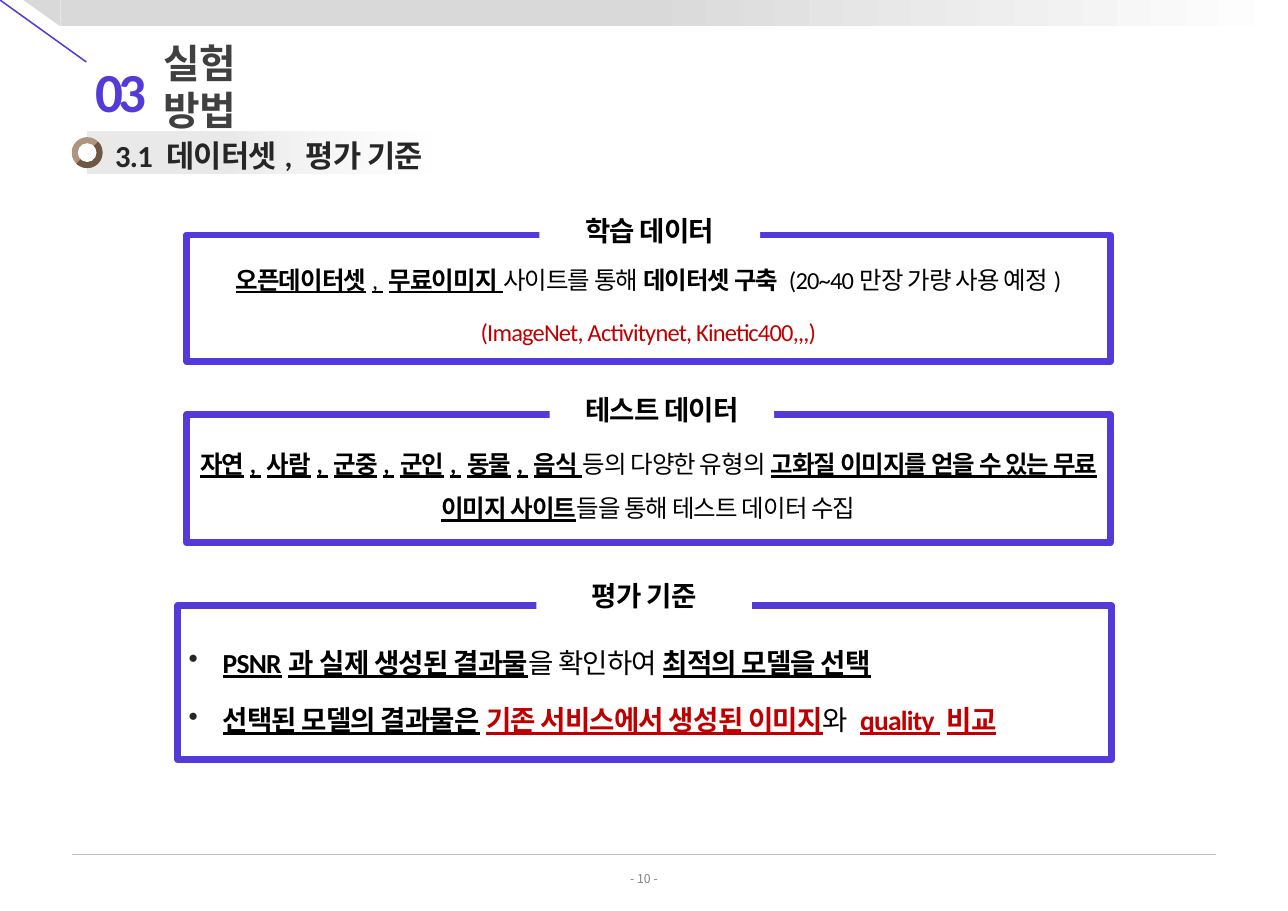
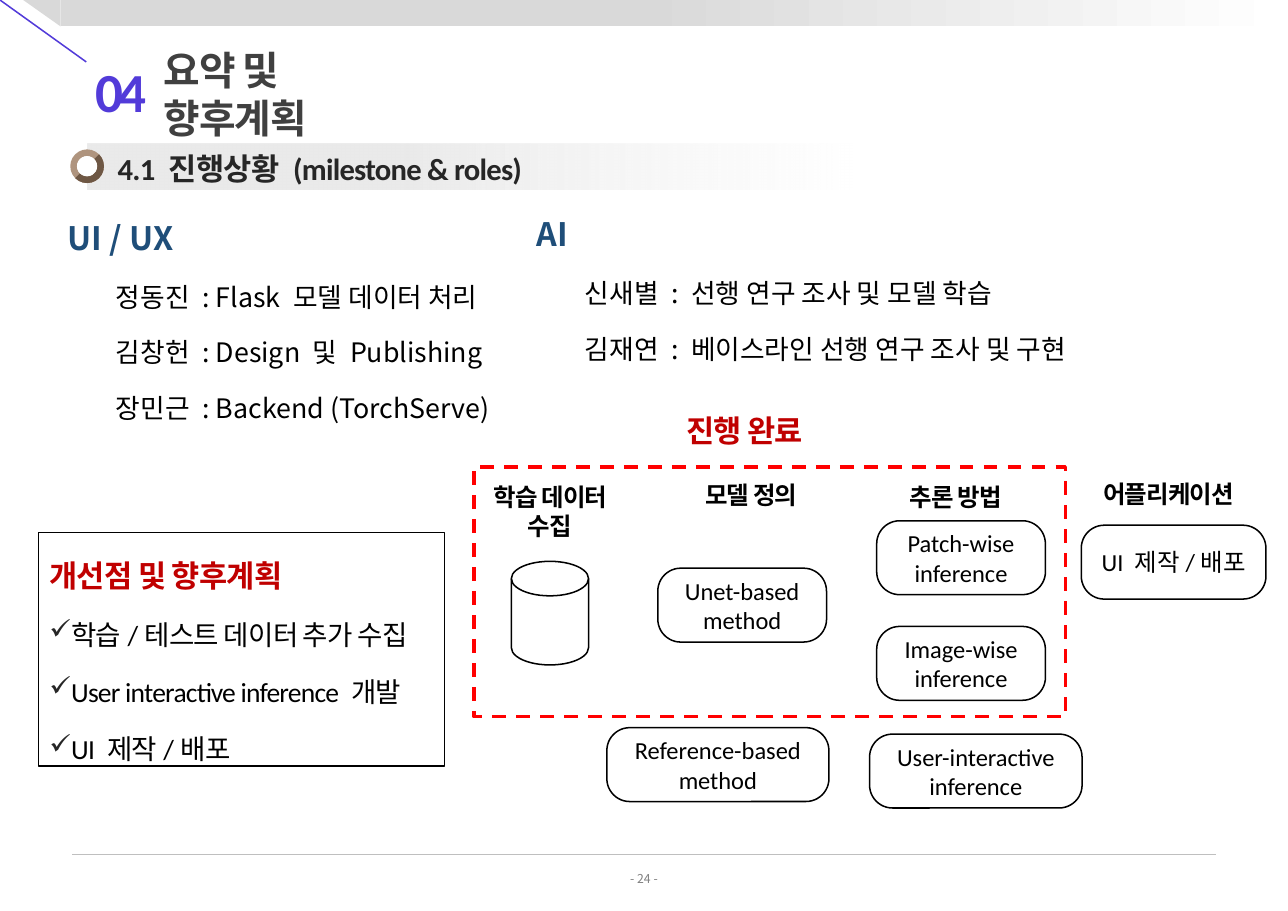
import pptx
import pptx.util
import pptx.oxml
import pptx.dml.color
import pptx.enum.dml
import pptx.enum.shapes
import pptx.enum.text
from lxml import etree

Pt, Inches = pptx.util.Pt, pptx.util.Inches
KIND = pptx.enum.shapes.MSO_SHAPE
ALIGN = pptx.enum.text.PP_ALIGN
ANCHOR = pptx.enum.text.MSO_ANCHOR
NS = "http://schemas.openxmlformats.org/drawingml/2006/main"

HUES = {
    "ink": "000000", "paper": "FFFFFF", "violet": "523BD9", "red": "C00000",
    "alert": "FF0000", "navy": "1F4E79", "title": "404040", "dark": "262626",
    "grey": "808080", "rule": "BFBFBF", "bar": "D9D9D9", "band": "EAEAEA",
    "fade": "F2F2F2", "tan": "AF947E", "brown": "6E5744",
}
PAGE = (0, 0, 11.69, 8.27)
LATIN, HANGUL = "Calibri", "Noto Sans CJK KR"


# ---- helpers ----
def hue(name):
    return pptx.dml.color.RGBColor.from_string(HUES[name])


def sub(box, left, top, wide, high):
    """Box inside a box, given in percent of the outer one."""
    x, y, w, h = box
    return (x + w * left / 100, y + h * top / 100, w * wide / 100, h * high / 100)


def emu(box):
    return [Inches(v) for v in box]


def node(up, tag, **attrs):
    return etree.SubElement(up, f"{{{NS}}}{tag}", attrs)


def shape(slide, kind, box, fill=None, line=None, width=1):
    item = slide.shapes.add_shape(kind, *emu(box))
    item.shadow.inherit = False
    if fill:
        item.fill.solid()
        item.fill.fore_color.rgb = hue(fill)
    else:
        item.fill.background()
    if line:
        item.line.color.rgb = hue(line)
        item.line.width = Pt(width)
    else:
        item.line.fill.background()
    return item


def blend(item, first, last, angle=0, clear=False):
    """Two-stop gradient; each stop is (colour, share)."""
    item.fill.gradient()
    item.fill.gradient_angle = angle
    for stop, (name, share) in zip(item.fill.gradient_stops, (first, last)):
        stop.color.rgb = hue(name)
        stop.position = share
    if clear:
        node(item.element.xpath(".//a:gs/a:srgbClr")[-1], "alpha", val="0")


def stroke(slide, start, end, color, width):
    ends = [Inches(v) for v in (*start, *end)]
    item = slide.shapes.add_connector(pptx.enum.shapes.MSO_CONNECTOR.STRAIGHT, *ends)
    item.line.color.rgb = hue(color)
    item.line.width = Pt(width)
    node(item.element.spPr, "effectLst")


def style(run, size, color="ink", bold=False, under=False, face=LATIN, track=0, edge=False):
    font = run.font
    font.size, font.bold, font.name = Pt(size), bold, face
    font.color.rgb = hue(color)
    if under:
        font.underline = True
    props = run._r.get_or_add_rPr()
    if track:
        props.set("spc", str(round(track * 100)))
    node(props, "ea", typeface=face)
    if edge:
        rim = etree.Element(f"{{{NS}}}ln", w="9525")
        tint = node(node(rim, "solidFill"), "srgbClr", val=HUES["fade"])
        node(tint, "alpha", val="30000")
        props.insert(0, rim)


def write(para, runs, size, **look):
    """Runs are plain text or (text, marks): b bold, u underline, r red."""
    for part in [runs] if isinstance(runs, str) else runs:
        text, marks = (part, None) if isinstance(part, str) else part
        now = dict(look)
        if marks is not None:
            now.update(bold="b" in marks, under="u" in marks)
            now["color"] = "red" if "r" in marks else "ink"
        for i, row in enumerate(text.split("\n")):
            if i:
                para.add_line_break()
            run = para.add_run()
            run.text = row
            style(run, size, **now)


def frame(item, pad=True, wrap=True, anchor=ANCHOR.TOP):
    text = item.text_frame
    text.word_wrap, text.vertical_anchor = wrap, anchor
    if not pad:
        text.margin_left = text.margin_right = text.margin_top = text.margin_bottom = 0
    return text


def para(text, first, align=ALIGN.LEFT, space=None, before=0, after=0, mark=None, indent=0):
    item = text.paragraphs[0] if first else text.add_paragraph()
    item.alignment = align
    if space:
        item.line_spacing = space
    item.space_before, item.space_after = Pt(0 if first else before), Pt(after)
    props = item._p.get_or_add_pPr()
    if indent:
        props.set("marL", str(Inches(indent)))
        props.set("indent", str(-Inches(indent) if mark else 0))
    if mark:
        node(node(props, "buClr"), "srgbClr", val=HUES["dark"])
        node(props, "buChar", char=mark)
    return item


def label(slide, box, runs, size, align=ALIGN.LEFT, pad=True, wrap=True,
          anchor=ANCHOR.TOP, **look):
    item = slide.shapes.add_textbox(*emu(box))
    write(para(frame(item, pad, wrap, anchor), True, align), runs, size, **look)


EDGED = dict(track=-0.5, edge=True)


# ---- shared parts ----
def dress(slide, layout):
    """Draws the top bar and foot rule, then hands them to the layout."""
    have = list(slide.shapes)
    stroke(slide, sub(PAGE, 5.6, 93.8, 0, 0)[:2], sub(PAGE, 94.4, 93.8, 0, 0)[:2], "rule", 0.75)
    stroke(slide, (0, 0), sub(PAGE, 6.7, 6.8, 0, 0)[:2], "violet", 1)
    bar = shape(slide, KIND.RECTANGLE, sub(PAGE, 4.7, 0, 95.3, 2.9))
    blend(bar, ("bar", 0.47), ("paper", 1))
    shape(slide, KIND.RIGHT_TRIANGLE, sub(PAGE, 1.8, 0, 2.9, 2.9), "bar").rotation = 180
    for item in list(layout.placeholders)[1:]:
        layout.shapes.element.remove(item.element)
    for item in list(slide.shapes)[len(have):]:
        layout.shapes.element.append(item.element)


def head(slide, box, title, number, page):
    top = slide.shapes.title
    top.left, top.top, top.width, top.height = emu(box)
    write(para(frame(top, False, True, ANCHOR.MIDDLE), True), title, 26,
          color="title", bold=True, track=-0.7)
    label(slide, sub(PAGE, 7.4, 6.2, 4.6, 7.4), number, 36, pad=False, wrap=False,
          anchor=ANCHOR.MIDDLE, color="violet", bold=True, track=-3)
    label(slide, sub(PAGE, 46.6, 95.6, 6.8, 1.7), f"- {page} -", 8, ALIGN.CENTER,
          pad=False, anchor=ANCHOR.MIDDLE, color="grey", face=HANGUL)


def band(slide, box, text):
    x, y, w, h = box
    back = shape(slide, KIND.RECTANGLE, box)
    blend(back, ("band", 0.4), ("fade", 1), clear=True)
    label(slide, (x + 0.66 * h, y + 0.12 * h, w, 0.85 * h), text, 20, pad=False,
          color="dark", bold=True, track=-0.5)
    spot = (x - 0.38 * h, y + 0.12 * h, 0.74 * h, 0.74 * h)
    ring = shape(slide, KIND.DONUT, spot)
    ring.adjustments[0] = 0.2
    blend(ring, ("tan", 0.5), ("brown", 0.5), 315)
    shape(slide, KIND.OVAL, sub(spot, 20, 20, 60, 60), "paper")


# ---- slide 1: framed topics ----
def topic(slide, box, name, left, wide, paras, size, mark=None):
    body = shape(slide, KIND.RECTANGLE, box, "paper", "violet", 4.5)
    text = frame(body, anchor=ANCHOR.MIDDLE)
    align = ALIGN.LEFT if mark else ALIGN.CENTER
    for i, runs in enumerate(paras):
        line = para(text, not i, align, 1.5, 0, 5, mark, 0.31 if mark else 0)
        write(line, runs, size, **EDGED)
    tab = shape(slide, KIND.RECTANGLE, sub(box, left, -20.8, wide, 30), "paper")
    write(para(frame(tab), True, ALIGN.CENTER), name, 18, bold=True, **EDGED)


def method(slide):
    head(slide, sub(PAGE, 12.7, 6.8, 11.2, 5.3), "실험 방법", "03", 10)
    band(slide, sub(PAGE, 6.8, 14.5, 26.8, 4.6), "3.1 데이터셋, 평가 기준")
    topic(slide, sub(PAGE, 14.5, 25.8, 71.7, 13.9), "학습 데이터", 38.2, 23.9, [
        [("오픈데이터셋", "bu"), (", ", "u"), ("무료이미지", "bu"), (" ", "u"),
         ("사이트를 통해 ", ""), ("데이터셋 구축 ", "b"), ("(20~40만장 가량 사용 예정)", "")],
        [("(ImageNet, Activitynet, Kinetic400,,,)", "r")]], 16)
    topic(slide, sub(PAGE, 14.5, 45.5, 71.7, 14.1), "테스트 데이터", 39.3, 24.3, [
        [("자연, 사람, 군중, 군인, 동물, 음식 ", "bu"), ("등의 다양한 유형의 ", ""),
         ("고화질 이미지를 얻을 수 있는 무료 이미지 사이트", "bu"),
         ("들을 통해 테스트 데이터 수집", "")]], 16)
    topic(slide, sub(PAGE, 13.8, 66.5, 72.5, 16.9), "평가 기준", 38.4, 23.1, [
        [("PSNR과", "bu"), (" ", "u"), ("실제 생성된 결과물", "bu"), ("을 확인하여 ", ""),
         ("최적의 모델을 선택", "bu")],
        [("선택된 모델의 결과물은", "bu"), (" ", ""), ("기존 서비스에서 생성된 이미지", "bur"),
         ("와 ", ""), ("quality 비교", "bur")]], 18, "•")


# ---- slide 2: progress ----
def team(slide, box, name, roles):
    text = frame(slide.shapes.add_textbox(*emu(box)))
    write(para(text, True, space=1.5), name, 21.1, color="navy", bold=True, face=HANGUL)
    for role in roles:
        line = para(text, False, space=1.5, before=5, indent=0.44)
        line.level = 1
        write(line, role, 17.5, face=HANGUL)


def plans(slide, box, name, tasks):
    text = frame(shape(slide, KIND.RECTANGLE, box, None, "ink", 0.75))
    write(para(text, True, space=1.5, after=5), name, 20, color="red", bold=True, **EDGED)
    for task in tasks:
        write(para(text, False, space=1.5, after=5, mark="✓", indent=0.19), task, 18, **EDGED)


def flow(slide, box):
    shape(slide, KIND.FLOWCHART_MAGNETIC_DISK, sub(box, 4.7, 38.6, 9.7, 25.8), "paper", "ink")
    # stage names: left, top, width
    for name, left, top, wide, align in (
            ("학습 데이터 수집", 0, 17.5, 19.1, ALIGN.CENTER),
            ("모델 정의", 27.7, 17, 19.1, ALIGN.LEFT),
            ("추론 방법", 53.4, 17.5, 16.7, ALIGN.LEFT),
            ("어플리케이션", 77.7, 16.7, 22.3, ALIGN.LEFT)):
        label(slide, sub(box, left, top, wide, 17.5), name, 16, align, bold=True, **EDGED)
    # steps: left, top, width
    for name, left, top, wide in (
            ("Reference-based\nmethod", 16.7, 80, 27.9),
            ("Unet-based\nmethod", 23.1, 40.3, 21.2),
            ("Patch-wise\ninference", 50.6, 28.5, 21.2),
            ("Image-wise\ninference", 50.6, 54.8, 21.2),
            ("User-interactive\ninference", 49.7, 81.6, 26.7),
            ("UI 제작/배포", 76.3, 29.6, 23.2)):
        step = shape(slide, KIND.ROUNDED_RECTANGLE, sub(box, left, top, wide, 18.4), "paper", "ink")
        step.adjustments[0] = 0.31
        write(para(frame(step, anchor=ANCHOR.MIDDLE), True, ALIGN.CENTER), name, 16)
    # finished part
    label(slide, sub(box, 25.3, 0, 20.2, 12), "진행 완료", 20, color="red", bold=True, **EDGED)
    done = shape(slide, KIND.RECTANGLE, sub(box, 0, 15.1, 74.3, 62.2), None, "alert", 2.25)
    done.line.dash_style = pptx.enum.dml.MSO_LINE.DASH


def status(slide):
    head(slide, sub(PAGE, 12.7, 7.6, 19.8, 5.3), "요약 및 향후계획", "04", 24)
    band(slide, sub(PAGE, 6.8, 15.8, 59.5, 5), "4.1 진행상황 (milestone & roles)")
    flow(slide, sub(PAGE, 36.8, 44.6, 61.8, 44.1))
    plans(slide, sub(PAGE, 3, 58.5, 31.5, 25.6), "개선점 및 향후계획", [
        "학습/테스트 데이터 추가 수집", "User interactive inference 개발", "UI 제작/배포"])
    team(slide, sub(PAGE, 4.4, 21.2, 48.2, 25.6), "UI / UX", [
        "정동진 : Flask 모델 데이터 처리", "김창헌 : Design 및 Publishing",
        "장민근 : Backend (TorchServe)"])
    team(slide, sub(PAGE, 40.8, 20.8, 48.2, 21.8), "AI", [
        "신새별 : 선행 연구 조사 및 모델 학습", "김재연 : 베이스라인 선행 연구 조사 및 구현"])


def main():
    deck = pptx.Presentation()
    deck.slide_width, deck.slide_height = emu(PAGE[2:])
    layout = deck.slide_layouts[5]
    for i, build in enumerate((method, status)):
        slide = deck.slides.add_slide(layout)
        if not i:
            dress(slide, layout)
        build(slide)
    deck.save("out.pptx")


if __name__ == "__main__":
    main()
